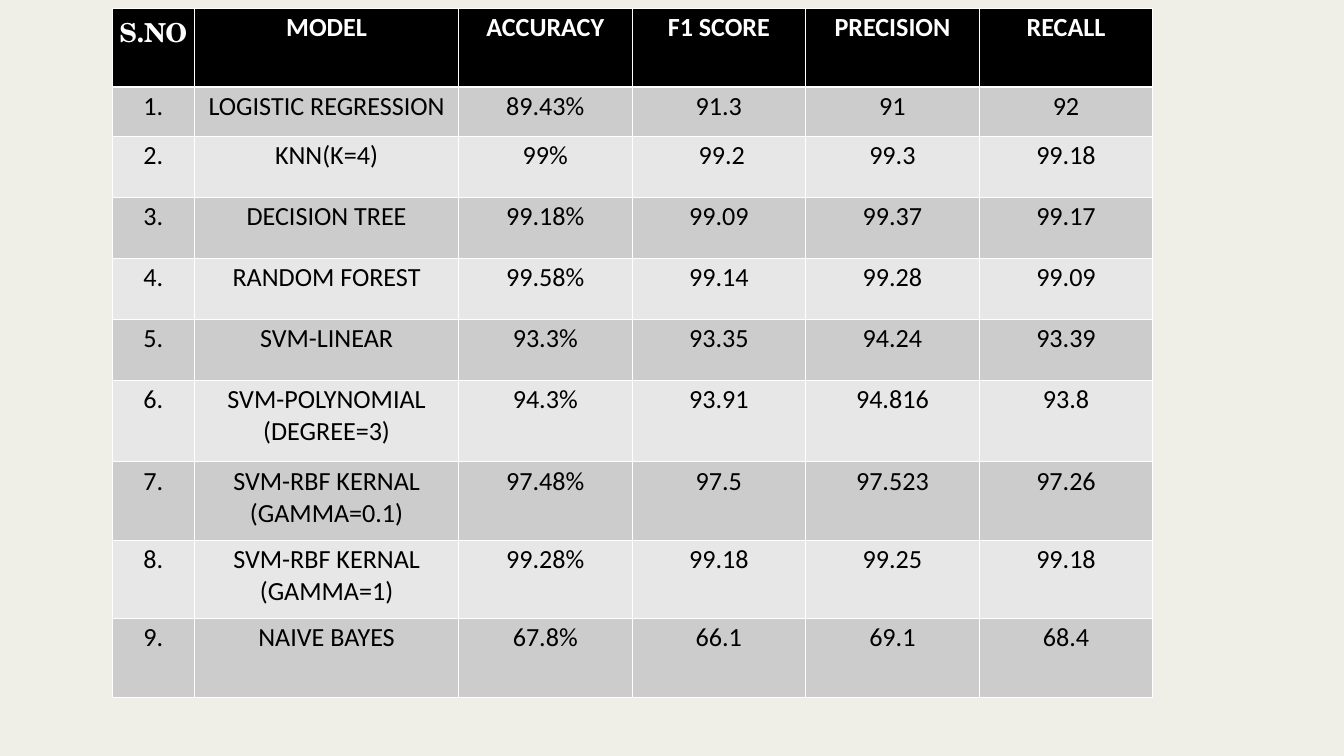
from dataclasses import dataclass

from lxml.etree import SubElement
from pptx import Presentation
from pptx.dml.color import RGBColor
from pptx.enum.text import PP_ALIGN
from pptx.oxml.ns import qn
from pptx.util import Pt

HEADINGS = ["S.NO", "MODEL", "ACCURACY", "F1 SCORE", "PRECISION", "RECALL"]
RESULTS = [
    ("LOGISTIC REGRESSION", "89.43%", "91.3", "91", "92"),
    ("KNN(K=4)", "99%", " 99.2", "99.3", "99.18"),
    ("DECISION TREE", "99.18%", "99.09", "99.37", "99.17"),
    ("RANDOM FOREST", "99.58%", "99.14", "99.28", "99.09"),
    ("SVM-LINEAR", "93.3%", "93.35", "94.24", "93.39"),
    ("SVM-POLYNOMIAL\n(DEGREE=3)", "94.3%", "93.91", "94.816", "93.8"),
    ("SVM-RBF KERNAL\n(GAMMA=0.1)", "97.48%", "97.5", "97.523", "97.26"),
    ("SVM-RBF KERNAL\n(GAMMA=1)", "99.28%", "99.18", "99.25", "99.18"),
    ("NAIVE BAYES", "67.8%", "66.1", "69.1", "68.4"),
]

EMU_PER_PX = 9525
SLIDE_SIZE = (1920, 1080)
LEFT, TOP = 160, 12
COLUMN_WIDTHS = [118, 377] + [248] * 4
ROW_HEIGHTS = [112, 71] + [87] * 4 + [117] + [112] * 3


@dataclass(frozen=True)
class Theme:
    background: str = "EFEEE7"
    header: str = "000000"
    bands: tuple = ("CCCCCC", "E7E7E7")
    grid: str = "FFFFFF"
    header_text: str = "FFFFFF"
    body_text: str = "000000"
    font: str = "Calibri"
    number_heading_font: str = "TeX Gyre Schola"
    size: int = 28
    grid_width: int = 1
    header_rule: int = 3


THEME = Theme()


def px(length):
    return length * EMU_PER_PX


def write(frame, text, *, color, bold=False, font=THEME.font):
    frame.text = text
    for paragraph in frame.paragraphs:
        paragraph.alignment = PP_ALIGN.CENTER
        for run in paragraph.runs:
            run.font.name = font
            run.font.size = Pt(THEME.size)
            run.font.bold = bold
            run.font.color.rgb = RGBColor.from_string(color)


def draw_borders(cell, top, bottom):
    properties = cell._tc.get_or_add_tcPr()
    widths = {"lnL": THEME.grid_width, "lnR": THEME.grid_width, "lnT": top, "lnB": bottom}
    for side, width in widths.items():
        line = SubElement(properties, qn(f"a:{side}"), w=str(Pt(width)))
        SubElement(SubElement(line, qn("a:solidFill")), qn("a:srgbClr"), val=THEME.grid)


def fill_cell(cell, text, row, column):
    is_header = row == 0
    draw_borders(
        cell,
        top=THEME.header_rule if row == 1 else THEME.grid_width,
        bottom=THEME.header_rule if is_header else THEME.grid_width,
    )
    background = THEME.header if is_header else THEME.bands[(row - 1) % 2]
    cell.fill.solid()
    cell.fill.fore_color.rgb = RGBColor.from_string(background)
    write(
        cell.text_frame,
        text,
        color=THEME.header_text if is_header else THEME.body_text,
        bold=is_header,
        font=THEME.number_heading_font if is_header and column == 0 else THEME.font,
    )


def add_results(slide):
    rows = [HEADINGS] + [(f"{number}.", *result) for number, result in enumerate(RESULTS, 1)]
    results = slide.shapes.add_table(
        len(rows), len(HEADINGS),
        px(LEFT), px(TOP), px(sum(COLUMN_WIDTHS)), px(sum(ROW_HEIGHTS)),
    ).table
    for column, width in zip(results.columns, COLUMN_WIDTHS):
        column.width = px(width)
    for row, height in zip(results.rows, ROW_HEIGHTS):
        row.height = px(height)
    for row, entries in enumerate(rows):
        for column, entry in enumerate(entries):
            fill_cell(results.cell(row, column), entry, row, column)


def main():
    deck = Presentation()
    deck.slide_width, deck.slide_height = map(px, SLIDE_SIZE)
    slide = deck.slides.add_slide(deck.slide_layouts.get_by_name("Blank"))
    slide.background.fill.solid()
    slide.background.fill.fore_color.rgb = RGBColor.from_string(THEME.background)
    add_results(slide)
    deck.save("out.pptx")


if __name__ == "__main__":
    main()
